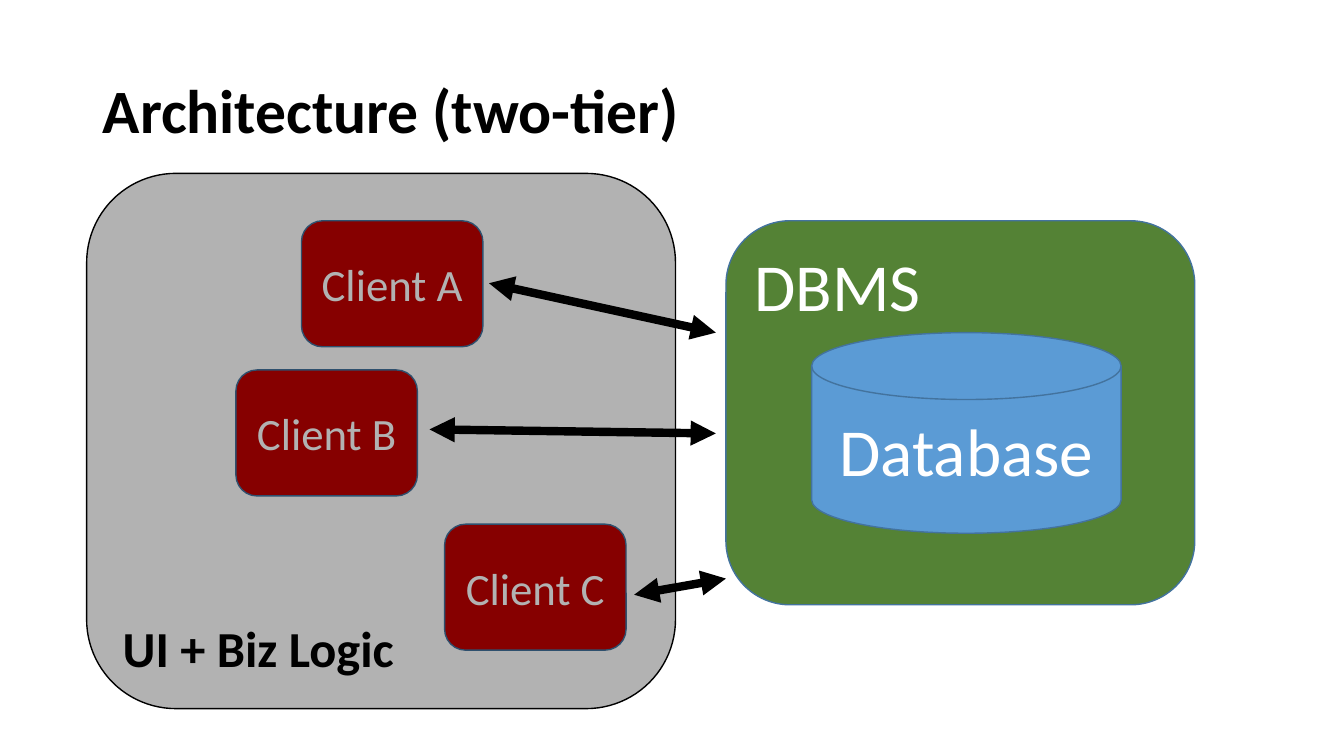
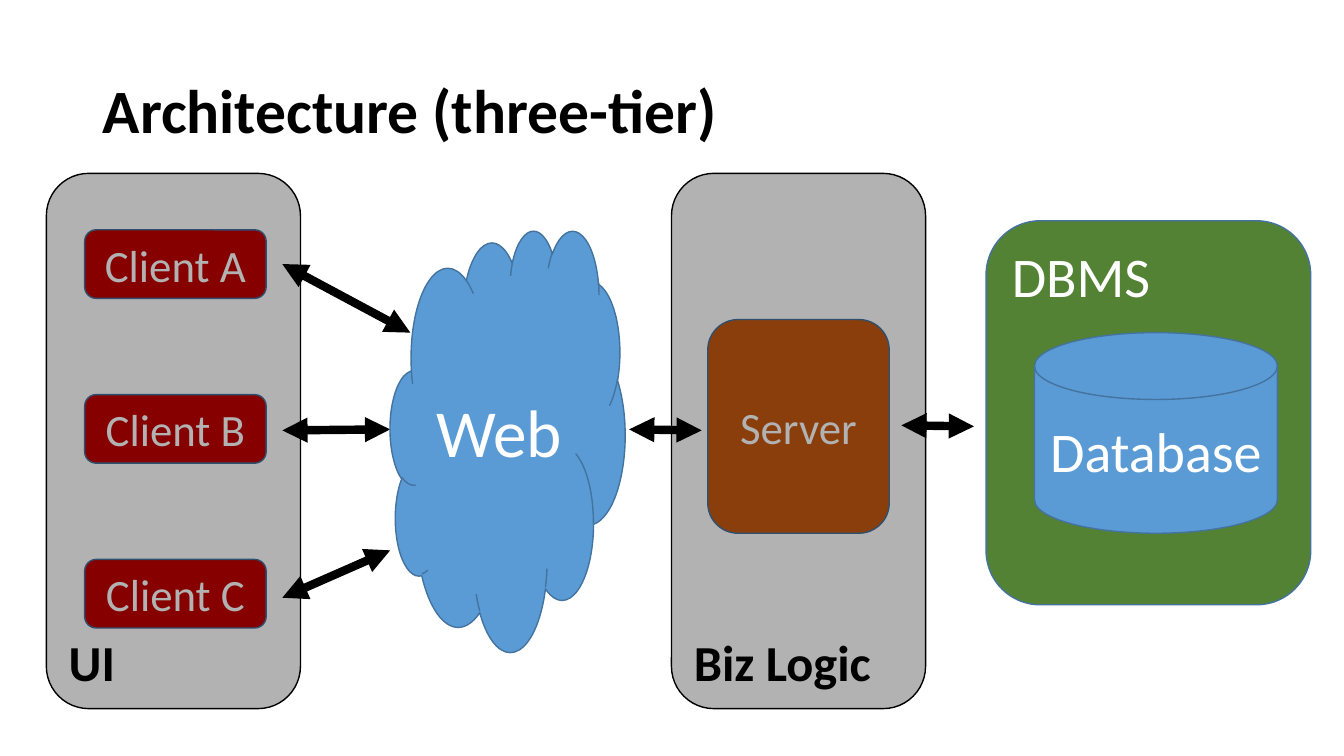
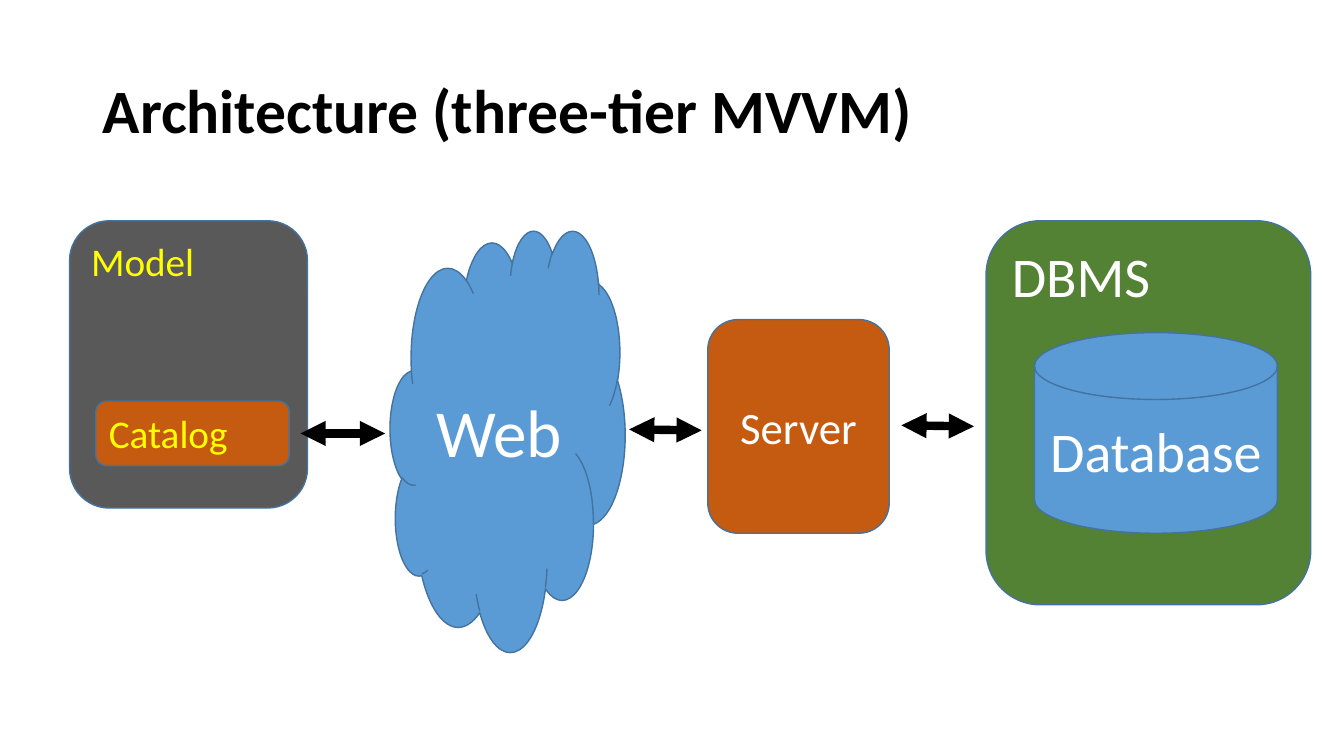
"""Build three slides on two-tier and three-tier client architectures."""
from dataclasses import dataclass, replace

from lxml.etree import SubElement
from pptx import Presentation
from pptx.dml.color import RGBColor
from pptx.enum.shapes import MSO_CONNECTOR, MSO_SHAPE
from pptx.enum.text import MSO_ANCHOR, PP_ALIGN
from pptx.oxml.ns import qn
from pptx.slide import Slide
from pptx.text.text import TextFrame
from pptx.util import Inches, Pt

BLACK = RGBColor(0x00, 0x00, 0x00)
WHITE = RGBColor(0xFF, 0xFF, 0xFF)
YELLOW = RGBColor(0xFF, 0xFF, 0x00)
GREEN = RGBColor(0x54, 0x82, 0x35)
BLUE = RGBColor(0x5B, 0x9B, 0xD5)
EDGE = RGBColor(0x43, 0x73, 0x9E)
RED = RGBColor(0xC0, 0x00, 0x00)
RUST = RGBColor(0xC5, 0x5A, 0x11)
GREY = RGBColor(0x59, 0x59, 0x59)

ROUND = MSO_SHAPE.ROUNDED_RECTANGLE
DISK = MSO_SHAPE.FLOWCHART_MAGNETIC_DISK
CLOUD = MSO_SHAPE.CLOUD
TOP, MID, LOW = MSO_ANCHOR.TOP, MSO_ANCHOR.MIDDLE, MSO_ANCHOR.BOTTOM


@dataclass(frozen=True)
class Box:
    """A labelled shape, with its place in inches."""
    text: str
    left: float
    top: float
    width: float
    height: float
    fill: RGBColor
    size: int = 32
    kind: MSO_SHAPE = ROUND
    color: RGBColor = WHITE
    edge: RGBColor = EDGE
    anchor: MSO_ANCHOR = MID
    bold: bool = False
    alpha: int = 100


@dataclass(frozen=True)
class Arrow:
    """A two-headed arrow between two points in inches."""
    x1: float
    y1: float
    x2: float
    y2: float


WEB = Box("Web", 3.87, 2.28, 2.33, 4.18, BLUE, 48, CLOUD)
SERVER = Box("Server", 7.02, 3.17, 1.8, 2.12, RUST)
LINKS = [Arrow(6.24, 4.26, 6.96, 4.27), Arrow(8.94, 4.22, 9.66, 4.23)]
DBMS = Box("DBMS", 9.78, 2.19, 3.22, 3.81, GREEN, 40, anchor=TOP)
BASE = Box("Database", 10.26, 3.3, 2.41, 1.99, BLUE, 40, DISK)
STORE = [DBMS, BASE]
WIDE = [replace(DBMS, left=7.2, width=4.65, size=48),
        replace(BASE, left=8.05, width=3.07, size=48)]


def client(name: str, left: float, top: float, height: float) -> Box:
    """Describe one client."""
    return Box(f"Client {name}", left, top, 1.8, height, RED)


def pane(text: str, left: float, width: float) -> Box:
    """Describe a see-through tier pane."""
    return Box(text, left, 1.72, width, 5.31, BLACK, 36, color=BLACK,
               edge=BLACK, anchor=LOW, bold=True, alpha=30)


def write(frame: TextFrame, text: str, align: PP_ALIGN, anchor: MSO_ANCHOR,
          size: int, color: RGBColor, bold: bool) -> None:
    """Put one styled line of text in a frame."""
    frame.word_wrap = True
    frame.vertical_anchor = anchor
    line = frame.paragraphs[0]
    line.alignment = align
    run = line.add_run()
    run.text = text
    style = {"name": "Calibri", "size": Pt(size), "bold": bold}
    for key, value in style.items():
        setattr(run.font, key, value)
    run.font.color.rgb = color


def draw_box(slide: Slide, box: Box) -> None:
    """Draw a labelled shape."""
    shape = slide.shapes.add_shape(
        box.kind, Inches(box.left), Inches(box.top),
        Inches(box.width), Inches(box.height))
    shape.shadow.inherit = False
    shape.fill.solid()
    shape.fill.fore_color.rgb = box.fill
    if box.alpha < 100:
        tint = shape.fill._xPr.find(".//" + qn("a:srgbClr"))
        SubElement(tint, qn("a:alpha"), val=str(box.alpha * 1000))
    shape.line.color.rgb = box.edge
    shape.line.width = Pt(1)
    align = PP_ALIGN.CENTER if box.anchor == MID else PP_ALIGN.LEFT
    write(shape.text_frame, box.text, align, box.anchor,
          box.size, box.color, box.bold)


def draw_arrow(slide: Slide, arrow: Arrow) -> None:
    """Draw a thick arrow with a head at each end."""
    link = slide.shapes.add_connector(
        MSO_CONNECTOR.STRAIGHT, Inches(arrow.x1), Inches(arrow.y1),
        Inches(arrow.x2), Inches(arrow.y2))
    link.line.color.rgb = BLACK
    link.line.width = Pt(6)
    stroke = link.line._get_or_add_ln()
    for end in ("a:headEnd", "a:tailEnd"):
        SubElement(stroke, qn(end), type="triangle")
    SubElement(link._element.spPr, qn("a:effectLst"))


def add_page(deck: Presentation, text: str, parts: list[Box | Arrow]) -> None:
    """Add a titled slide and draw its parts from back to front."""
    slide = deck.slides.add_slide(deck.slide_layouts[5])
    title = slide.shapes.title
    place = {"left": 0.92, "top": 0.4, "width": 11.5, "height": 1.45}
    for key, value in place.items():
        setattr(title, key, Inches(value))
    write(title.text_frame, text, PP_ALIGN.LEFT, MID, 44, BLACK, True)
    title.text_frame.paragraphs[0].line_spacing = 0.9
    for part in parts:
        if isinstance(part, Box):
            draw_box(slide, part)
        else:
            draw_arrow(slide, part)


def main() -> None:
    """Build and save the deck."""
    deck = Presentation()
    deck.slide_width, deck.slide_height = Inches(13.33), Inches(7.5)

    spots = [("A", 2.99, 2.19), ("B", 2.34, 3.67), ("C", 4.41, 5.2)]
    add_page(deck, "Architecture (two-tier)", [
        *WIDE,
        *(client(name, left, top, 1.25) for name, left, top in spots),
        Arrow(4.85, 2.81, 7.1, 3.3),
        Arrow(4.26, 4.26, 7.1, 4.3),
        Arrow(6.29, 5.9, 7.2, 5.74),
        pane("UI + Biz Logic", 0.86, 5.84),
    ])

    add_page(deck, "Architecture (three-tier)", [
        *STORE,
        *(client(name, 0.84, 2.28 + 1.635 * row, 0.68)
          for row, name in enumerate("ABC")),
        Arrow(2.8, 2.62, 4.07, 3.3),
        Arrow(2.8, 4.27, 3.87, 4.26),
        Arrow(2.8, 5.93, 3.87, 5.46),
        WEB, SERVER, *LINKS,
        pane("UI", 0.46, 2.52),
        pane("Biz Logic", 6.66, 2.52),
    ])

    add_page(deck, "Architecture (three-tier MVVM)", [
        Box("Model", 0.69, 2.19, 2.36, 2.85, GREY, 28,
            color=YELLOW, anchor=TOP),
        Box("Catalog", 0.95, 3.98, 1.92, 0.64, RUST, 28,
            color=YELLOW, anchor=TOP),
        *STORE, WEB, SERVER, *LINKS,
        Arrow(2.98, 4.3, 3.82, 4.3),
    ])
    deck.save("out.pptx")


if __name__ == "__main__":
    main()
